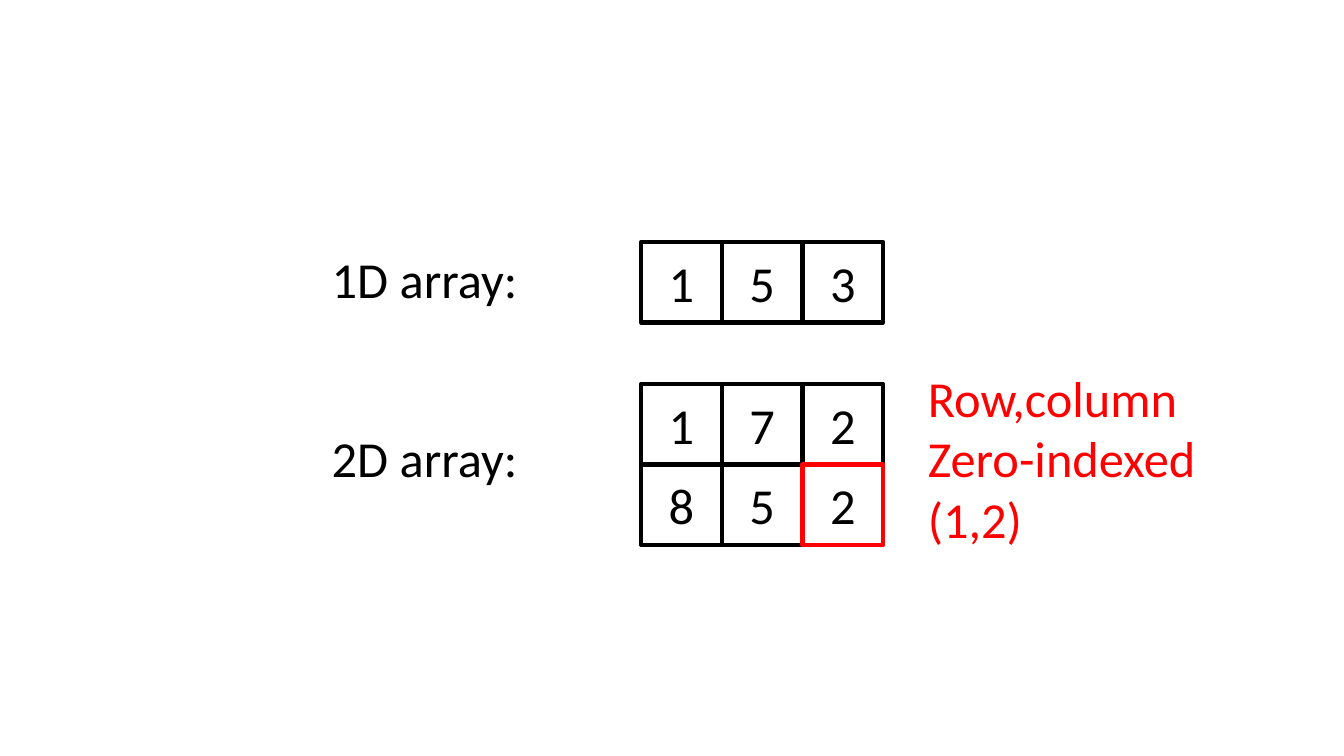
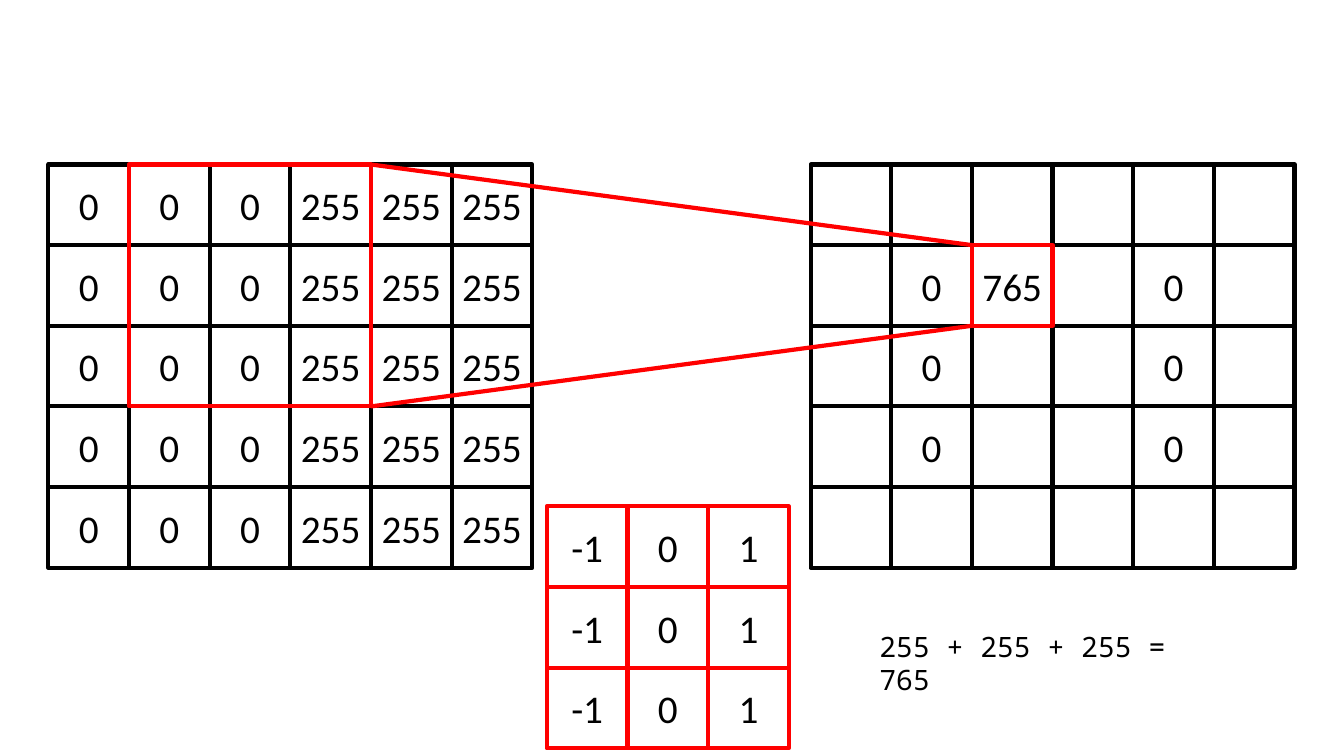
from dataclasses import dataclass

from lxml.etree import SubElement
from pptx import Presentation
from pptx.dml.color import RGBColor
from pptx.enum.shapes import MSO_CONNECTOR as Link, MSO_SHAPE as Preset
from pptx.enum.text import MSO_ANCHOR as Anchor, PP_ALIGN as Align
from pptx.oxml.ns import qn
from pptx.util import Inches, Pt


@dataclass(frozen=True)
class Theme:
    """Colours, fonts and sizes that the slides share."""
    ink: RGBColor = RGBColor(0, 0, 0)
    accent: RGBColor = RGBColor(255, 0, 0)
    body: str = "Calibri"
    mono: str = "Noto Sans Mono"
    large: int = 36
    medium: int = 28
    small: int = 20
    stroke: int = 3
    cell: float = 0.8


@dataclass(frozen=True)
class Box:
    """An area measured in grid cells."""
    left: float
    top: float
    columns: float = 1
    rows: float = 1

    def block(self, column, row, columns=1, rows=1):
        """Return the block of cells at a column and row of this box."""
        return Box(self.left + column, self.top + row, columns, rows)

    def frame(self):
        """Return left, top, width and height as lengths."""
        return [cells(n) for n in (self.left, self.top, self.columns, self.rows)]


THEME = Theme()


def cells(count):
    """Turn a number of cells into a length."""
    return Inches(count * THEME.cell)


def write(frame, text, size, color=THEME.ink, font=THEME.body, align=Align.LEFT):
    """Fill a text frame and format its runs."""
    frame.text = text
    for paragraph in frame.paragraphs:
        paragraph.alignment = align
        for run in paragraph.runs:
            run.font.size = Pt(size)
            run.font.name = font
            run.font.color.rgb = color


def caption(slide, box, text, size=THEME.large, **style):
    """Place wrapped text in a box."""
    frame = slide.shapes.add_textbox(*box.frame()).text_frame
    frame.word_wrap = True
    write(frame, text, size, **style)


def outline(shapes, box, color, text="", size=THEME.medium):
    """Draw an unfilled square or window with centred text."""
    square = shapes.add_shape(Preset.RECTANGLE, *box.frame())
    square.shadow.inherit = False
    square.fill.background()
    square.line.color.rgb = color
    square.line.width = Pt(THEME.stroke)
    if text:
        frame = square.text_frame
        frame.word_wrap = False
        frame.margin_left = frame.margin_right = 0
        frame.vertical_anchor = Anchor.MIDDLE
        write(frame, text, size, align=Align.CENTER)


def matrix(slide, box, values, color=THEME.ink, size=THEME.medium, marked=None):
    """Draw a grouped grid of values, with one cell marked if asked."""
    shapes = slide.shapes.add_group_shape().shapes
    for row, line in enumerate(values):
        for column, value in enumerate(line):
            edge = THEME.accent if (row, column) == marked else color
            outline(shapes, box.block(column, row), edge, value, size)


def projection(slide, window, target):
    """Outline a window and its target cell and join their facing corners."""
    shapes = slide.shapes.add_group_shape().shapes
    for area in (target, window):
        outline(shapes, area, THEME.accent)
    right = window.left + window.columns
    for share in (0, 1):
        ends = (right, window.top + share * window.rows,
                target.left, target.top + share * target.rows)
        ray = shapes.add_connector(Link.STRAIGHT, *map(cells, ends))
        ray.line.color.rgb = THEME.accent
        ray.line.width = Pt(THEME.stroke)
        SubElement(ray._element.spPr, qn("a:effectLst"))


def array_slide(slide):
    """Show a one-row and a two-row array with an indexed cell."""
    caption(slide, Box(3.99, 3.01, 2.76, 1.64), "1D array:")
    caption(slide, Box(3.99, 5.24, 2.76, 1.64), "2D array:")
    matrix(slide, Box(7.95, 3, 3, 1), ["153"], size=THEME.large)
    matrix(slide, Box(7.95, 4.76, 3, 2), ["172", "852"], size=THEME.large, marked=(1, 2))
    caption(slide, Box(11.38, 4.49, 5.08, 3.15),
            "Row,column\nZero-indexed\n(1,2)", color=THEME.accent)


def convolution_slide(slide):
    """Show an image, a kernel and the filtered result."""
    image = Box(0.6, 2.04, 6, 5)
    result = Box(10.05, 2.04, 6, 5)
    blank = [""] * 6
    zeros = ["", "0", "", "", "0", ""]
    first = ["", "0", "765", "", "0", ""]
    matrix(slide, image, [["0"] * 3 + ["255"] * 3] * 5)
    matrix(slide, result, [blank, first, zeros, zeros, blank])
    matrix(slide, Box(6.78, 6.28, 3, 3), [["-1", "0", "1"]] * 3, THEME.accent)
    projection(slide, image.block(1, 0, 3, 3), result.block(2, 1))
    caption(slide, Box(10.78, 7.74, 4.56, 0.55), "255 + 255 + 255 = 765",
            THEME.small, font=THEME.mono)


def main():
    """Build and save the deck."""
    deck = Presentation()
    deck.slide_width, deck.slide_height = Inches(13.33), Inches(7.5)
    for build in (array_slide, convolution_slide):
        build(deck.slides.add_slide(deck.slide_layouts[6]))
    deck.save("out.pptx")


if __name__ == "__main__":
    main()
